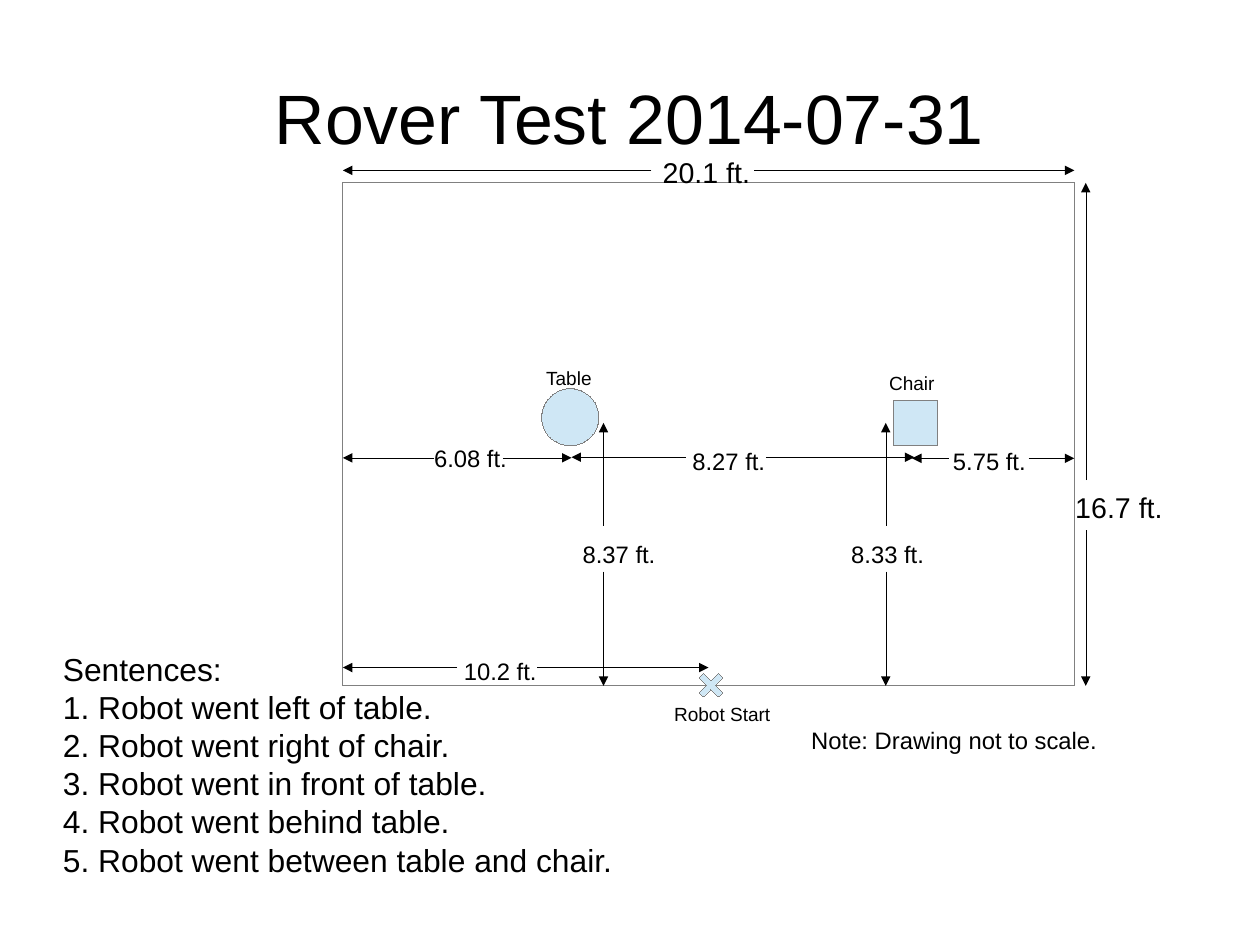
import pptx
import pptx.dml.color
import pptx.enum.shapes
import pptx.enum.text
import pptx.oxml
import pptx.oxml.ns
import pptx.util

Pt = pptx.util.Pt
SHAPE = pptx.enum.shapes.MSO_SHAPE
ANCHOR = pptx.enum.text.MSO_ANCHOR
AUTOFIT = pptx.enum.text.MSO_AUTO_SIZE
ALIGN = pptx.enum.text.PP_ALIGN

BLACK, GREY, PALE_BLUE = "000000", "808080", "CFE7F5"
LABEL_WIDTH = 72
SENTENCES = [
    "Sentences:",
    "1. Robot went left of table.",
    "2. Robot went right of chair.",
    "3. Robot went in front of table.",
    "4. Robot went behind table.",
    "5. Robot went between table and chair.",
]

# Lengths in points from the room's top left corner:
# text, size, label corner, axis, line offset, (start, gap start, gap end, end)
DIMENSIONS = [
    ("20.1 ft.", 18, (194.4, -20.9), "x", -7.9, (0, 194.4, 259.2, 460.8)),
    ("16.7 ft.", 18, (454.3, 190.1), "y", 468, (0, 187.2, 218.9, 316.8)),
    ("5.75 ft.", 15, (377.3, 162.7), "x", 173.5, (358.6, 381.6, 432, 460.8)),
    ("6.08 ft.", 15, (50.4, 160.6), "x", 173.2, (0, 57.6, 100.8, 144)),
    ("8.27 ft.", 15, (213.1, 162.7), "x", 172.8, (144, 216, 266.4, 360)),
    ("10.2 ft.", 15, (69.1, 295.2), "x", 305.3, (0, 72, 122.4, 230.4)),
    ("8.37 ft.", 15, (144, 221), "y", 164.2, (151.2, 216, 244.8, 316.8)),
    ("8.33 ft.", 15, (313.2, 221), "y", 342, (151.2, 216, 244.8, 316.8)),
]


def rgb(hex_colour):
    return pptx.dml.color.RGBColor.from_string(hex_colour)


def apply_format(target, values):
    for name, value in values.items():
        setattr(target, name, value)


def write_lines(frame, lines, size, align=ALIGN.LEFT):
    frame.text = "\n".join(lines)
    for paragraph in frame.paragraphs:
        apply_format(paragraph, {"alignment": align, "space_before": Pt(0)})
        apply_format(paragraph.font, {"name": "Arial", "size": Pt(size)})
        paragraph.font.color.rgb = rgb(BLACK)


def fill_placeholder(placeholder, box, lines, size, align):
    left, top, width, height = map(Pt, box)
    apply_format(placeholder, {"left": left, "top": top,
                               "width": width, "height": height})
    apply_format(placeholder.text_frame, {
        "margin_left": 0, "margin_top": 0, "margin_right": 0, "margin_bottom": 0,
        "vertical_anchor": ANCHOR.MIDDLE, "word_wrap": True,
        "auto_size": AUTOFIT.NONE,
    })
    write_lines(placeholder.text_frame, lines, size, align)


def add_label(slide, text, size, left, top, width, wrap=True):
    height = 1.15 * size + 7.2
    label = slide.shapes.add_textbox(Pt(left), Pt(top), Pt(width), Pt(height))
    apply_format(label.text_frame, {
        "margin_left": Pt(7.2), "margin_right": Pt(7.2),
        "margin_top": Pt(3.6), "margin_bottom": Pt(3.6),
        "word_wrap": wrap, "auto_size": AUTOFIT.SHAPE_TO_FIT_TEXT,
    })
    write_lines(label.text_frame, [text], size)


def set_hairline(line, colour):
    """Write the zero width out, as line.width drops it and the theme's shows."""
    line.color.rgb = rgb(colour)
    outline = line._get_or_add_ln()
    outline.set("w", "0")
    return outline


def add_outlined(slide, preset, box, fill=None):
    shape = slide.shapes.add_shape(preset, *map(Pt, box))
    shape.shadow.inherit = False
    if fill:
        shape.fill.solid()
        shape.fill.fore_color.rgb = rgb(fill)
    else:
        shape.fill.background()
    set_hairline(shape.line, GREY)
    return shape


def add_arrow(slide, start, end):
    arrow = slide.shapes.add_connector(
        pptx.enum.shapes.MSO_CONNECTOR.STRAIGHT, *map(Pt, start + end))
    namespace = pptx.oxml.ns.nsdecls("a")
    set_hairline(arrow.line, BLACK).append(
        pptx.oxml.parse_xml(f'<a:tailEnd {namespace} type="triangle"/>'))
    arrow._element.spPr.append(
        pptx.oxml.parse_xml(f"<a:effectLst {namespace}/>"))


def add_dimension(slide, room, dimension):
    """Draw a measurement as two outward arrows with a label in the gap."""
    text, size, (label_x, label_y), axis, offset, stops = dimension
    left, top = room[:2]
    points = [(left + stop, top + offset) if axis == "x"
              else (left + offset, top + stop) for stop in stops]
    start, gap_start, gap_end, end = points
    add_arrow(slide, gap_start, start)
    add_arrow(slide, gap_end, end)
    add_label(slide, text, size, left + label_x, top + label_y, LABEL_WIDTH)


def add_floor_plan(slide, room):
    left, top, width, height = room
    add_outlined(slide, SHAPE.RECTANGLE, room)
    add_outlined(slide, SHAPE.RECTANGLE,
                 (left + 347, top + 136.8, 27.8, 28.8), PALE_BLUE)
    add_outlined(slide, SHAPE.OVAL,
                 (left + 125.3, top + 129.6, 36, 36), PALE_BLUE)
    robot_start = add_outlined(
        slide, SHAPE.CROSS,
        (left + 223.2, top + height - 9.1, 17.3, 17.3), PALE_BLUE)
    robot_start.rotation = 45
    robot_start.adjustments[0] = 0.39

    for name, x, y, label_width in [("Table", 121, 112.3, 43.2),
                                    ("Chair", 337, 115.2, 43.2),
                                    ("Robot Start", 201.6, 324, 74.9)]:
        add_label(slide, name, 12, left + x, top + y, label_width, wrap=False)
    for dimension in DIMENSIONS:
        add_dimension(slide, room, dimension)
    add_label(slide, "Note: Drawing not to scale.", 15,
              left + 288, top + height + 21.6, 223.2)


def main():
    deck = pptx.Presentation()
    apply_format(deck, {"slide_width": Pt(793.75), "slide_height": Pt(595.25)})
    slide = deck.slides.add_slide(deck.slide_layouts[0])
    fill_placeholder(slide.shapes.title, (39.6, 23.8, 714.2, 99.4),
                     ["Rover Test 2014-07-31"], 44, ALIGN.CENTER)
    fill_placeholder(slide.placeholders[1], (39.6, 404.6, 698.4, 153.4),
                     SENTENCES, 20, ALIGN.LEFT)
    add_floor_plan(slide, (216, 115.2, 460.8, 316.8))
    deck.save("out.pptx")


if __name__ == "__main__":
    main()
